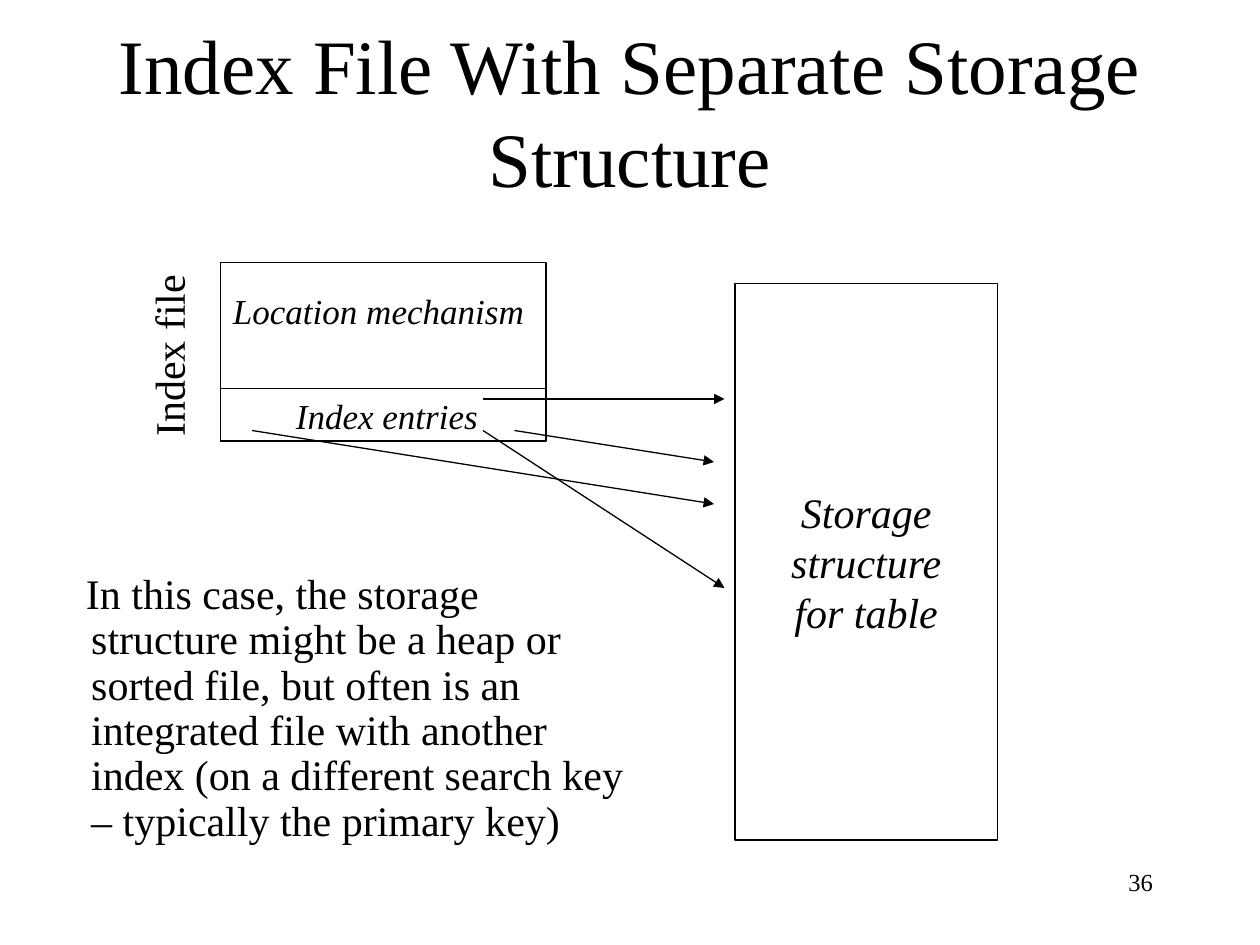
"""Build a slide showing an index file kept apart from its storage structure."""
import pptx
import pptx.util
import pptx.dml.color
import pptx.enum.shapes
import pptx.enum.text
import pptx.oxml.ns
from lxml import etree

Pt = pptx.util.Pt
ALIGN = pptx.enum.text.PP_ALIGN
ANCHOR = pptx.enum.text.MSO_ANCHOR
COLORS = {"ink": "000000", "paper": "FFFFFF"}
FONT = "Times New Roman"

TITLE = "Index File With Separate Storage Structure"
EXPLANATION = (
    "In this case, the storage structure might be a heap or sorted file, "
    "but often is an integrated file with another index "
    "(on a different search key – typically the primary key)"
)
INDEX_BOX = (126, 150, 186, 102)
STORAGE_BOX = (420, 162, 150, 318)
STORAGE_TEXT = "Storage\nstructure\nfor table"
DIVIDER_Y = 222
LABELS = [
    ("Location mechanism", (126, 162, 180.7, 31.7), 20, True, 0),
    ("Index entries", (162, DIVIDER_Y, 118.1, 31.7), 20, True, 0),
    ("Index file", (39.6, 182.2, 113, 36), 24, False, 270),
]
ARROWS = [
    ((294, 246), (408, 264)),
    ((276, 246), (414, 336)),
    ((276, 228), (414, 228)),
    ((144, 246), (408, 288)),
]


def color(name):
    return pptx.dml.color.RGBColor.from_string(COLORS[name])


def write(shape, text, size, italic=False, align=ALIGN.LEFT, anchor=ANCHOR.TOP, wrap=True):
    frame = shape.text_frame
    frame.text = text
    frame.auto_size = pptx.enum.text.MSO_AUTO_SIZE.NONE
    frame.word_wrap = wrap
    frame.vertical_anchor = anchor
    for para in frame.paragraphs:
        para.alignment = align
        for span in para.runs:
            span.font.name = FONT
            span.font.size = Pt(size)
            span.font.italic = italic
            span.font.color.rgb = color("ink")


def add_text(page, place, text, size, **style):
    box = page.shapes.add_textbox(*map(Pt, place))
    write(box, text, size, **style)
    return box


def add_box(page, place):
    box = page.shapes.add_shape(pptx.enum.shapes.MSO_SHAPE.RECTANGLE, *map(Pt, place))
    box.shadow.inherit = False
    box.fill.solid()
    box.fill.fore_color.rgb = color("paper")
    box.line.color.rgb = color("ink")
    box.line.width = Pt(0.75)
    return box


def add_line(page, start, end, arrow=False):
    line = page.shapes.add_connector(
        pptx.enum.shapes.MSO_CONNECTOR.STRAIGHT, *map(Pt, start + end)
    )
    line.line.color.rgb = color("ink")
    line.line.width = Pt(0.75)
    qn = pptx.oxml.ns.qn
    if arrow:
        outline = line.line._get_or_add_ln()
        etree.SubElement(outline, qn("a:tailEnd"), type="triangle")
    etree.SubElement(line._element.spPr, qn("a:effectLst"))


def main():
    deck = pptx.Presentation()
    deck.slide_width, deck.slide_height = Pt(720), Pt(540)
    page = deck.slides.add_slide(deck.slide_layouts[5])

    title = page.shapes.title
    title.left, title.top, title.width, title.height = map(Pt, (54, 18, 612, 90))
    write(title, TITLE, 44, align=ALIGN.CENTER, anchor=ANCHOR.MIDDLE)

    body = add_text(page, (18, 324, 348, 174), EXPLANATION, 24)
    para = body.text_frame.paragraphs[0]
    para.line_spacing = 0.9
    para.space_before = Pt(6)
    properties = para._p.get_or_add_pPr()
    properties.set("marL", str(Pt(27)))
    properties.set("indent", str(Pt(-3)))

    add_box(page, INDEX_BOX)
    storage = add_box(page, STORAGE_BOX)
    write(storage, STORAGE_TEXT, 24, italic=True, align=ALIGN.CENTER,
          anchor=ANCHOR.MIDDLE, wrap=False)

    left, _, width, _ = INDEX_BOX
    add_line(page, (left, DIVIDER_Y), (left + width, DIVIDER_Y))
    for text, place, size, italic, rotation in LABELS:
        label = add_text(page, place, text, size, italic=italic, wrap=False)
        label.rotation = rotation
    for start, end in ARROWS:
        add_line(page, start, end, arrow=True)

    add_text(page, (516, 492, 150, 36), "36", 14, align=ALIGN.RIGHT)
    deck.save("out.pptx")


if __name__ == "__main__":
    main()
